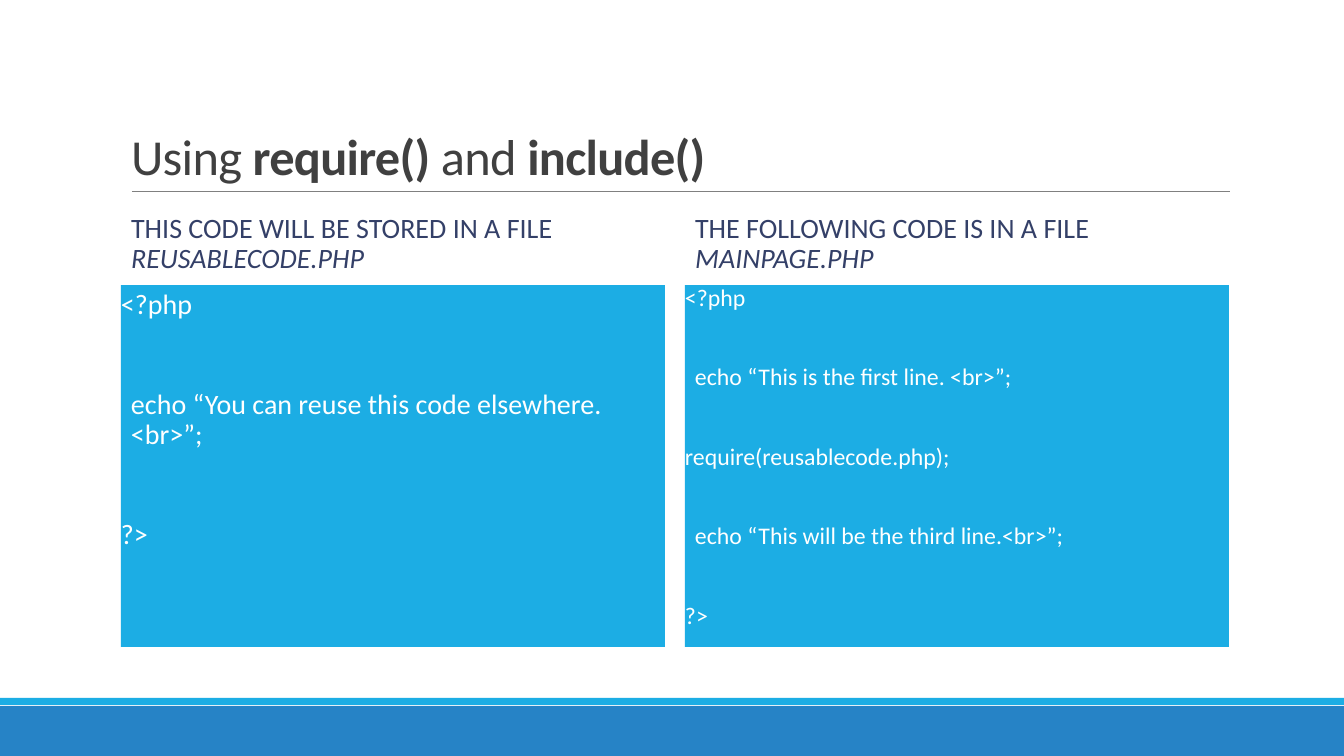
"""Build a slide that compares a reusable PHP file with the page that requires it."""
import pptx
import pptx.dml.color
import pptx.enum.shapes
import pptx.enum.text
import pptx.oxml.ns
import pptx.util
from lxml import etree

EMU_PER_PX = 914400 / 100.8
COLORS = {
    "title": "404040",
    "heading": "344068",
    "code": "FFFFFF",
    "panel": "1CADE4",
    "footer": "2683C6",
    "rule": "808080",
}
ANCHOR = pptx.enum.text.MSO_ANCHOR


def px(length):
    return pptx.util.Emu(round(length * EMU_PER_PX))


def rgb(name):
    return pptx.dml.color.RGBColor.from_string(COLORS[name])


def add_text(paragraph, text, size, color, bold=False, italic=False, spacing=0):
    run = paragraph.add_run()
    run.text = text
    run.font.name = "Calibri"
    run.font.size = pptx.util.Pt(size)
    run.font.color.rgb = rgb(color)
    run.font.bold = bold
    run.font.italic = italic
    if spacing:
        run.font._element.set("spc", str(spacing))


class SlideBuilder:
    def __init__(self, slide):
        self.slide = slide

    def bar(self, top, height, color):
        shape = self.slide.shapes.add_shape(
            pptx.enum.shapes.MSO_SHAPE.RECTANGLE, 0, px(top), px(1344), px(height))
        shape.shadow.inherit = False
        shape.fill.solid()
        shape.fill.fore_color.rgb = rgb(color)
        shape.line.fill.background()

    def rule(self, left, right, top):
        line = self.slide.shapes.add_connector(
            pptx.enum.shapes.MSO_CONNECTOR.STRAIGHT, px(left), px(top), px(right), px(top))
        line.line.color.rgb = rgb("rule")
        line.line.width = pptx.util.Pt(0.5)
        etree.SubElement(line._element.spPr, pptx.oxml.ns.qn("a:effectLst"))

    def place(self, index, left, top, width, height, anchor):
        shape = self.slide.placeholders[index]
        shape.left, shape.top = px(left), px(top)
        shape.width, shape.height = px(width), px(height)
        frame = shape.text_frame
        frame.word_wrap = True
        frame.auto_size = pptx.enum.text.MSO_AUTO_SIZE.NONE
        frame.vertical_anchor = anchor
        return shape

    def format_paragraph(self, paragraph, line_spacing, before=0, after=0, margin=0, indent=0):
        paragraph.alignment = pptx.enum.text.PP_ALIGN.LEFT
        paragraph.line_spacing = line_spacing
        paragraph.space_before = pptx.util.Pt(before)
        paragraph.space_after = pptx.util.Pt(after)
        properties = paragraph._p.get_or_add_pPr()
        properties.set("marL", str(px(margin)))
        properties.set("indent", str(px(indent)))
        etree.SubElement(properties, pptx.oxml.ns.qn("a:buNone"))

    def title(self, segments):
        shape = self.place(0, 121, 31, 1109, 160, ANCHOR.BOTTOM)
        paragraph = shape.text_frame.paragraphs[0]
        self.format_paragraph(paragraph, 0.85)
        for text, bold in segments:
            add_text(paragraph, text, size=36, color="title", bold=bold, spacing=-50)

    def heading(self, index, left, text, file_name):
        shape = self.place(index, left, 204, 544, 81, ANCHOR.MIDDLE)
        paragraph = shape.text_frame.paragraphs[0]
        self.format_paragraph(paragraph, 0.9, before=12, after=2)
        add_text(paragraph, text, size=20, color="heading")
        add_text(paragraph, file_name, size=20, color="heading", italic=True)

    def code(self, index, left, lines, size, line_spacing, gap):
        shape = self.place(index, left, 285, 544, 362, ANCHOR.TOP)
        shape.fill.solid()
        shape.fill.fore_color.rgb = rgb("panel")
        frame = shape.text_frame
        frame.margin_left = frame.margin_right = 0
        for number, (text, indented) in enumerate(lines):
            paragraph = frame.add_paragraph() if number else frame.paragraphs[0]
            self.format_paragraph(
                paragraph, line_spacing, before=gap if number else 12, after=2,
                margin=10, indent=0 if indented else -10)
            add_text(paragraph, text, size=size, color="code")


def main():
    presentation = pptx.Presentation()
    presentation.slide_width, presentation.slide_height = px(1344), px(756)
    builder = SlideBuilder(presentation.slides.add_slide(presentation.slide_layouts[5 - 1]))

    builder.bar(706, 50, "footer")
    builder.bar(698, 7, "panel")
    builder.rule(132, 1230, 191)
    builder.title([("Using ", False), ("require() ", True), ("and ", False), ("include()", True)])

    builder.heading(1, 121, "THIS CODE WILL BE STORED IN A FILE ", "REUSABLECODE.PHP")
    builder.code(2, 121, [
        ("<?php", False),
        ("echo “You can reuse this code elsewhere. <br>”;", True),
        ("?>", False),
    ], size=20, line_spacing=0.9, gap=48)

    builder.heading(3, 685, "THE FOLLOWING CODE IS IN A FILE ", "MAINPAGE.PHP")
    builder.code(4, 685, [
        ("<?php", False),
        ("echo “This is the first line. <br>”;", True),
        ("require(reusablecode.php);", False),
        ("echo “This will be the third line.<br>”;", True),
        ("?>", False),
    ], size=17, line_spacing=0.7, gap=40.5)

    presentation.save("out.pptx")


if __name__ == "__main__":
    main()
